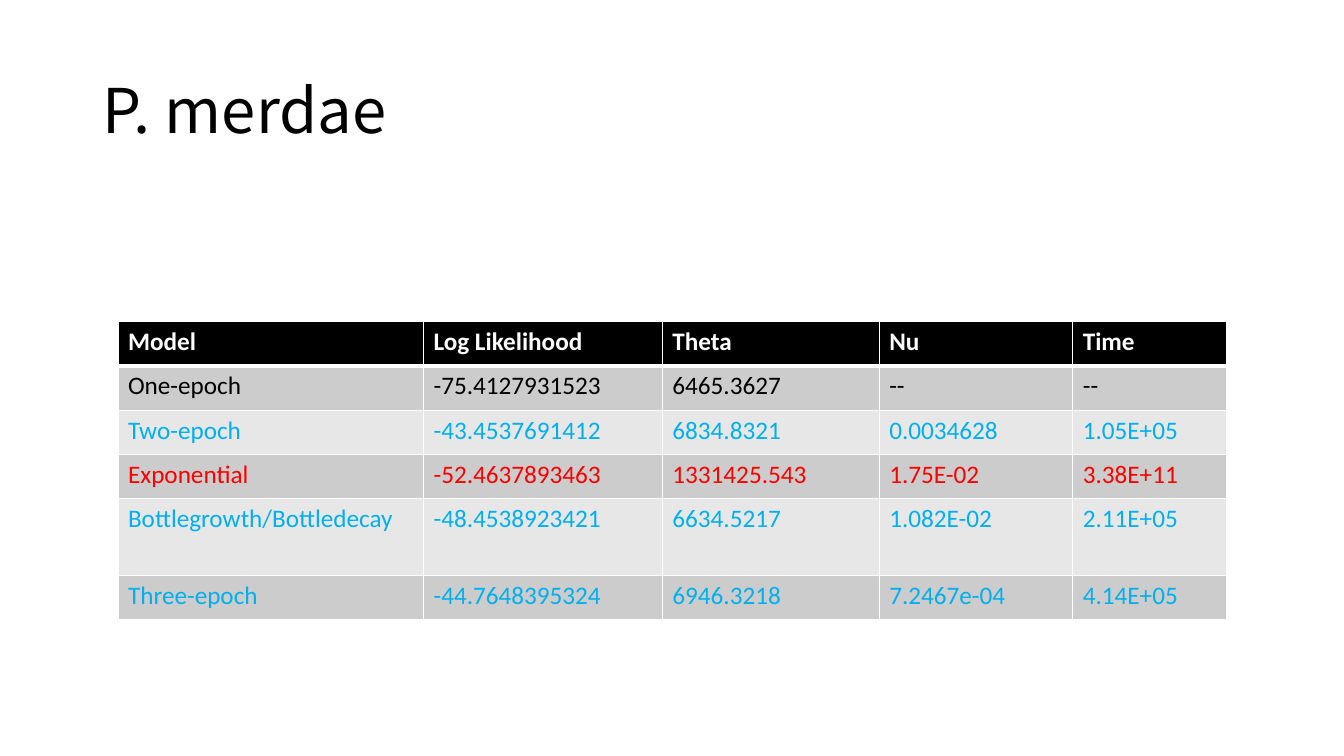
from lxml.etree import SubElement
from pptx import Presentation
from pptx.dml.color import RGBColor
from pptx.enum.text import MSO_ANCHOR
from pptx.oxml.ns import qn
from pptx.util import Inches, Pt

BLACK = RGBColor(0x00, 0x00, 0x00)
WHITE = RGBColor(0xFF, 0xFF, 0xFF)
BLUE = RGBColor(0x00, 0xB0, 0xF0)
RED = RGBColor(0xFF, 0x00, 0x00)
DARK_BAND = RGBColor(0xCC, 0xCC, 0xCC)
LIGHT_BAND = RGBColor(0xE7, 0xE7, 0xE7)

HEADER = ("Model", "Log Likelihood", "Theta", "Nu", "Time")
MODELS = (
    (BLACK, ("One-epoch", "-75.4127931523", "6465.3627", "--", "--")),
    (BLUE, ("Two-epoch", "-43.4537691412", "6834.8321", "0.0034628", "1.05E+05")),
    (RED, ("Exponential", "-52.4637893463", "1331425.543", "1.75E-02", "3.38E+11")),
    (BLUE, ("Bottlegrowth/Bottledecay", "-48.4538923421", "6634.5217", "1.082E-02", "2.11E+05")),
    (BLUE, ("Three-epoch", "-44.7648395324", "6946.3218", "7.2467e-04", "4.14E+05")),
)
COLUMN_WIDTHS = (3.03, 2.37, 2.15, 1.92, 1.53)
ROW_HEIGHTS = (0.44, 0.44, 0.44, 0.44, 0.76, 0.44)


def write(paragraph, wording, color, **font_format):
    """Put one formatted run of text into a paragraph."""
    run = paragraph.add_run()
    run.text = wording
    run.font.color.rgb = color
    for attribute, value in font_format.items():
        setattr(run.font, attribute, value)


def add_borders(cell, **widths):
    """Draw white cell borders with widths in points by side."""
    properties = cell._tc.get_or_add_tcPr()
    for side in "LRTB":
        line = SubElement(properties, qn(f"a:ln{side}"), w=str(Pt(widths.get(side, 1))))
        fill = SubElement(line, qn("a:solidFill"))
        SubElement(fill, qn("a:srgbClr"), val=str(WHITE))


def add_title(slide, left, top, width, height):
    """Place the species name, centred vertically in its box."""
    species = slide.shapes.add_textbox(
        Inches(left), Inches(top), Inches(width), Inches(height)).text_frame
    species.word_wrap = True
    species.vertical_anchor = MSO_ANCHOR.MIDDLE
    paragraph = species.paragraphs[0]
    paragraph.line_spacing = 0.9
    write(paragraph, "P. merdae", BLACK, name="Noto Sans CJK JP", size=Pt(44))


def add_model_table(slide, left, top, width, height):
    """Place the banded table of demographic model fits."""
    rows = ((WHITE, HEADER),) + MODELS
    table = slide.shapes.add_table(
        len(rows), len(HEADER),
        Inches(left), Inches(top), Inches(width), Inches(height)).table
    for column, column_width in zip(table.columns, COLUMN_WIDTHS):
        column.width = Inches(column_width)
    for row, row_height in zip(table.rows, ROW_HEIGHTS):
        row.height = Inches(row_height)
    for row_index, (color, values) in enumerate(rows):
        is_header = row_index == 0
        band = BLACK if is_header else (LIGHT_BAND, DARK_BAND)[row_index % 2]
        heavy_side = {0: {"B": 3}, 1: {"T": 3}}.get(row_index, {})
        for column_index, value in enumerate(values):
            cell = table.cell(row_index, column_index)
            add_borders(cell, **heavy_side)
            cell.fill.solid()
            cell.fill.fore_color.rgb = band
            write(cell.text_frame.paragraphs[0], value, color,
                  name="Calibri", size=Pt(18), bold=is_header)


def main():
    """Build the slide and save it."""
    presentation = Presentation()
    presentation.slide_width = Inches(13.33)
    presentation.slide_height = Inches(7.5)
    slide = presentation.slides.add_slide(presentation.slide_layouts[6])
    add_title(slide, 0.92, 0.4, 11.5, 1.45)
    add_model_table(slide, 1.17, 3.19, sum(COLUMN_WIDTHS), sum(ROW_HEIGHTS))
    presentation.save("out.pptx")


if __name__ == "__main__":
    main()
